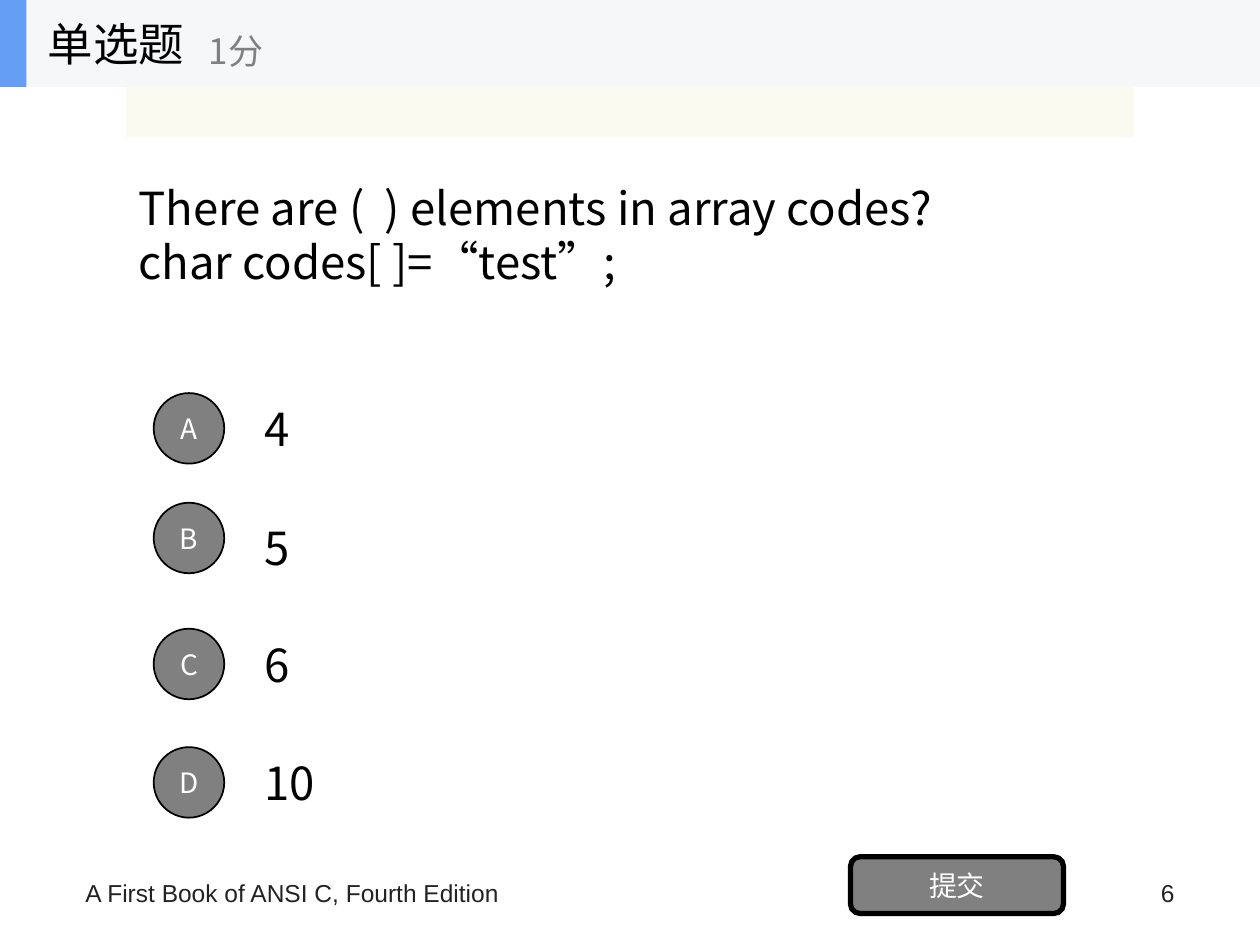
from lxml import etree
from pptx import Presentation
from pptx.dml.color import RGBColor
from pptx.enum.shapes import MSO_SHAPE
from pptx.enum.text import MSO_ANCHOR, PP_ALIGN
from pptx.oxml.ns import qn
from pptx.util import Inches, Pt

RECT, OVAL, ROUND = MSO_SHAPE.RECTANGLE, MSO_SHAPE.OVAL, MSO_SHAPE.ROUNDED_RECTANGLE
TOP, MIDDLE = MSO_ANCHOR.TOP, MSO_ANCHOR.MIDDLE
LEFT, CENTER, RIGHT = PP_ALIGN.LEFT, PP_ALIGN.CENTER, PP_ALIGN.RIGHT
CJK, ARIAL = "Noto Sans CJK SC", "Arial"
BLACK, GREY, WHITE, DARK = "000000", "808080", "FFFFFF", "222222"

prs = Presentation()
prs.slide_width, prs.slide_height = Inches(10), Inches(7.5)
slide = prs.slides.add_slide(prs.slide_layouts[6])


def write(shape, text, size, color, font=CJK, align=LEFT, anchor=MIDDLE, pad=(0.1, 0.05)):
    """Put text in a shape, with one font for Latin and Chinese."""
    frame = shape.text_frame
    frame.text = text
    frame.word_wrap = True
    frame.vertical_anchor = anchor
    frame.margin_left = frame.margin_right = Inches(pad[0])
    frame.margin_top = frame.margin_bottom = Inches(pad[1])
    for para in frame.paragraphs:
        para.alignment = align
        for run in para.runs:
            run.font.size = Pt(size)
            run.font.name = font
            run.font.color.rgb = RGBColor.from_string(color)
            etree.SubElement(run._r.get_or_add_rPr(), qn("a:ea"), typeface=font)


def draw(kind, box, fill, line=0):
    """Add a filled shape; line is the width of its black outline in points."""
    shape = slide.shapes.add_shape(kind, *map(Inches, box))
    shape.shadow.inherit = False
    shape.fill.solid()
    shape.fill.fore_color.rgb = RGBColor.from_string(fill)
    if line:
        shape.line.color.rgb = RGBColor.from_string(BLACK)
        shape.line.width = Pt(line)
    else:
        shape.line.fill.background()
    return shape


# Header bar and the pale band below it
draw(RECT, (0, 0, 10, 0.69), "F6F7F8")
draw(RECT, (0, 0, 0.21, 0.69), "639EF4")
band = draw(RECT, (1, 0.69, 8, 0.4), "FBFAEF")
tint = band.fill._xPr.find(".//" + qn("a:srgbClr"))
etree.SubElement(tint, qn("a:alpha"), val="90000")

# Title, points, question and footer
question = "There are (  ) elements in array codes?\nchar codes[ ]=“test”;"
labels = [
    ((0.28, 0, 2.08, 0.69), "单选题", 26, BLACK, CJK, LEFT, MIDDLE),
    ((1.56, 0.12, 2.5, 0.56), "1分", 20, GREY, CJK, LEFT, MIDDLE),
    ((1, 0.69, 8, 2.34), question, 26, BLACK, CJK, LEFT, MIDDLE),
    ((0.58, 6.92, 6.42, 0.42), "A First Book of ANSI C, Fourth Edition", 14, DARK, ARIAL, LEFT, TOP),
    ((7.17, 6.92, 2.25, 0.42), "6", 14, DARK, ARIAL, RIGHT, TOP),
]
for box, *style in labels:
    write(slide.shapes.add_textbox(*map(Inches, box)), *style)

# Answers; the circle of B sits a little higher in its row
answers = [("A", "4", 0.07), ("B", "5", 0), ("C", "6", 0.07), ("D", "10", 0.07)]
for row, (letter, answer, drop) in enumerate(answers):
    top = round(3.05 + 0.936 * row, 2)
    box = slide.shapes.add_textbox(Inches(2), Inches(top), Inches(7), Inches(0.7))
    write(box, answer, 26, BLACK)
    circle = draw(OVAL, (1.22, top + drop, 0.56, 0.56), GREY, 1)
    write(circle, letter, 16, WHITE, align=CENTER, pad=(0, 0))

# Submit button
button = draw(ROUND, (6.75, 6.8, 1.69, 0.45), GREY, 3)
write(button, "提交", 16, WHITE, align=CENTER, pad=(0, 0))

prs.save("out.pptx")
